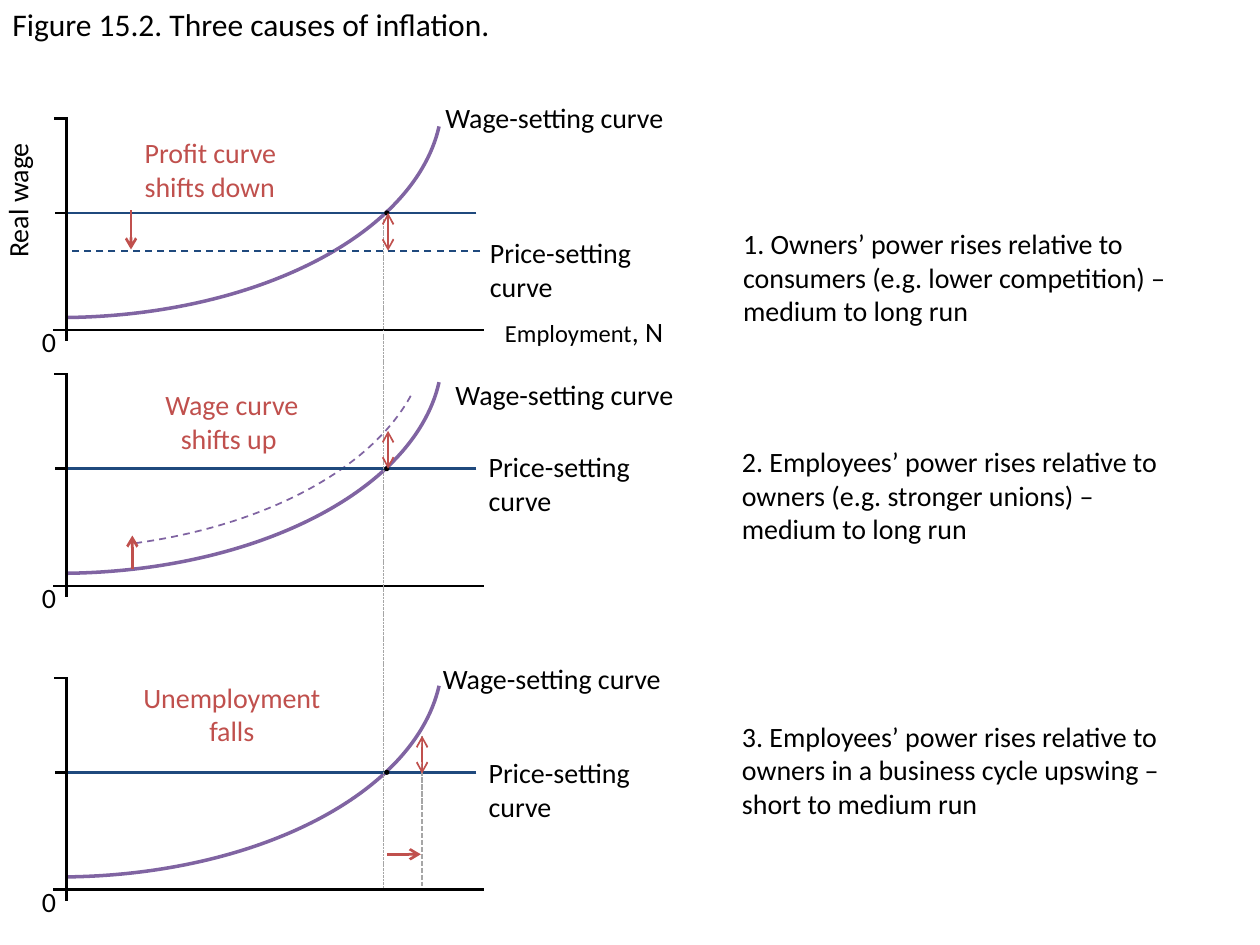
from lxml import etree
from pptx import Presentation
from pptx.dml.color import RGBColor
from pptx.enum import dml, shapes, text
from pptx.oxml.ns import qn
from pptx.util import Inches, Pt

BLACK = RGBColor(0x00, 0x00, 0x00)
PURPLE = RGBColor(0x80, 0x64, 0xA2)
NAVY = RGBColor(0x1F, 0x49, 0x7D)
RED = RGBColor(0xC0, 0x50, 0x4D)
GRAY = RGBColor(0xA6, 0xA6, 0xA6)
DASH = dml.MSO_LINE.DASH
SHORT_DASH = dml.MSO_LINE.SQUARE_DOT
LEFT = text.PP_ALIGN.LEFT
CENTER = text.PP_ALIGN.CENTER

presentation = Presentation()
presentation.slide_width = Inches(10)
presentation.slide_height = Inches(7.5)
slide = presentation.slides.add_slide(presentation.slide_layouts[6])


def add_line(x1, y1, x2, y2, color=BLACK, width=1.5, dash=None, arrows=()):
    """Draw a line; arrows names its pointed ends: headEnd (start), tailEnd (finish)."""
    line = slide.shapes.add_connector(
        shapes.MSO_CONNECTOR.STRAIGHT, Inches(x1), Inches(y1), Inches(x2), Inches(y2))
    line.line.color.rgb = color
    line.line.width = Pt(width)
    if dash is not None:
        line.line.dash_style = dash
    properties = line._element.spPr
    for end in arrows:
        etree.SubElement(properties.find(qn("a:ln")), qn("a:" + end), type="arrow")
    etree.SubElement(properties, qn("a:effectLst"))


def add_text(x, y, width, height, paragraphs, color=BLACK, align=LEFT, wrap=True):
    """Add a text box; each paragraph is a list of (text, size) runs."""
    box = slide.shapes.add_textbox(Inches(x), Inches(y), Inches(width), Inches(height))
    frame = box.text_frame
    frame.word_wrap = wrap
    frame.auto_size = text.MSO_AUTO_SIZE.SHAPE_TO_FIT_TEXT
    for index, runs in enumerate(paragraphs):
        paragraph = frame.add_paragraph() if index else frame.paragraphs[0]
        paragraph.alignment = align
        for words, size in runs:
            run = paragraph.add_run()
            run.text = words
            run.font.size = Pt(size)
            run.font.name = "Calibri"
            run.font.color.rgb = color
    return box


add_text(0, -0.01, 9.91, 0.4, [[("Figure 15.2. Three causes of inflation.", 18)]])

# Wage-setting curves: left, top, start and end angle, width, dash
PRICE_LEVELS = (1.69, 3.72, 6.13)
curves = [(-2.57, level - 2.65, 2.54, 52.63, 2, None) for level in PRICE_LEVELS]
curves.append((-2.68, 0.88, 6.12, 41.24, 1, DASH))
for x, y, start, end, width, dash in curves:
    curve = slide.shapes.add_shape(
        shapes.MSO_SHAPE.ARC, Inches(x), Inches(y), Inches(6.08), Inches(3.48))
    curve.adjustments[0] = start
    curve.adjustments[1] = end
    curve.shadow.inherit = False
    curve.fill.background()
    curve.line.color.rgb = PURPLE
    curve.line.width = Pt(width)
    if dash is not None:
        curve.line.dash_style = dash

# Axes, price-setting line and equilibrium of each panel
for level in PRICE_LEVELS:
    top, base = level - 0.75, level + 0.93
    add_line(3.84, base, 0.42, base)
    add_line(0.53, top, 0.53, base + 0.09)
    add_line(0.43, top, 0.54, top)
    add_line(3.78, level, 0.53, level, NAVY)
    add_line(0.44, level, 0.54, level)
    add_text(0.28, level + 0.84, 0.15, 0.37, [[("0", 16)]])
    dot = slide.shapes.add_shape(
        shapes.MSO_SHAPE.OVAL, Inches(3.05), Inches(level - 0.02), Inches(0.04), Inches(0.04))
    dot.shadow.inherit = False
    dot.fill.solid()
    dot.fill.fore_color.rgb = BLACK
    dot.line.fill.background()

# Axis titles
axis_title = add_text(-0.78, 1.38, 1.84, 0.37, [[("Real wage ", 16)]], align=CENTER)
axis_title.rotation = 270
add_text(3.91, 2.45, 1.47, 0.37, [[("Employment", 14), (", N", 16)]], wrap=False)

# Curve labels
for x, y, width in ((3.07, 0.75, 2.71), (3.47, 2.95, 2.07), (3.37, 5.2, 2.07)):
    add_text(x, y, width, 0.37, [[("Wage-setting curve ", 16)]], align=CENTER)
for x, y in ((3.79, 1.82), (3.78, 3.52), (3.78, 5.95)):
    add_text(x, y, 1.7, 0.64, [[("Price-setting curve", 16)]])

# What changes in each panel
for x, y, width, words, align in (
    (1.05, 1.03, 1.6, "Profit curve shifts down", LEFT),
    (1.04, 3.03, 1.6, "Wage curve shifts up ", CENTER),
    (0.99, 5.35, 1.7, "Unemployment falls", CENTER),
):
    add_text(x, y, width, 0.64, [[(words, 16)]], RED, align)

# Shifted price-setting line and employment guides
add_line(3.81, 1.99, 0.56, 1.99, NAVY, 1, DASH)
add_line(3.35, 5.84, 3.35, 7.03, GRAY, 1, SHORT_DASH)
for y1, y2 in ((1.74, 2.62), (2.65, 4.65), (4.65, 7.05)):
    add_line(3.04, y1, 3.04, y2, GRAY, 0.5, SHORT_DASH)

# Shift arrows and gap arrows
for x1, y1, x2, y2 in (
    (1.04, 1.98, 1.04, 1.67),
    (1.05, 4.25, 1.05, 4.52),
    (3.34, 6.78, 3.07, 6.78),
):
    add_line(x1, y1, x2, y2, RED, arrows=("headEnd",))
for x, bottom in ((3.08, 1.99), (3.08, 3.72), (3.35, 6.14)):
    add_line(x, bottom, x, bottom - 0.3, RED, 1, arrows=("headEnd", "tailEnd"))

# Explanations
for x, y, width, height, paragraphs in (
    (5.8, 1.75, 4.2, 1.18, (
        "1. Owners’ power rises relative to consumers (e.g. lower competition) – "
        "medium to long run",)),
    (5.79, 3.48, 4.2, 0.91, (
        "2. Employees’ power rises relative to owners (e.g. stronger unions) –",
        "medium to long run")),
    (5.79, 5.66, 4.12, 0.91, (
        "3. Employees’ power rises relative to owners in a business cycle upswing –",
        "short to medium run")),
):
    add_text(x, y, width, height, [[(words, 16)] for words in paragraphs])

presentation.save("out.pptx")
